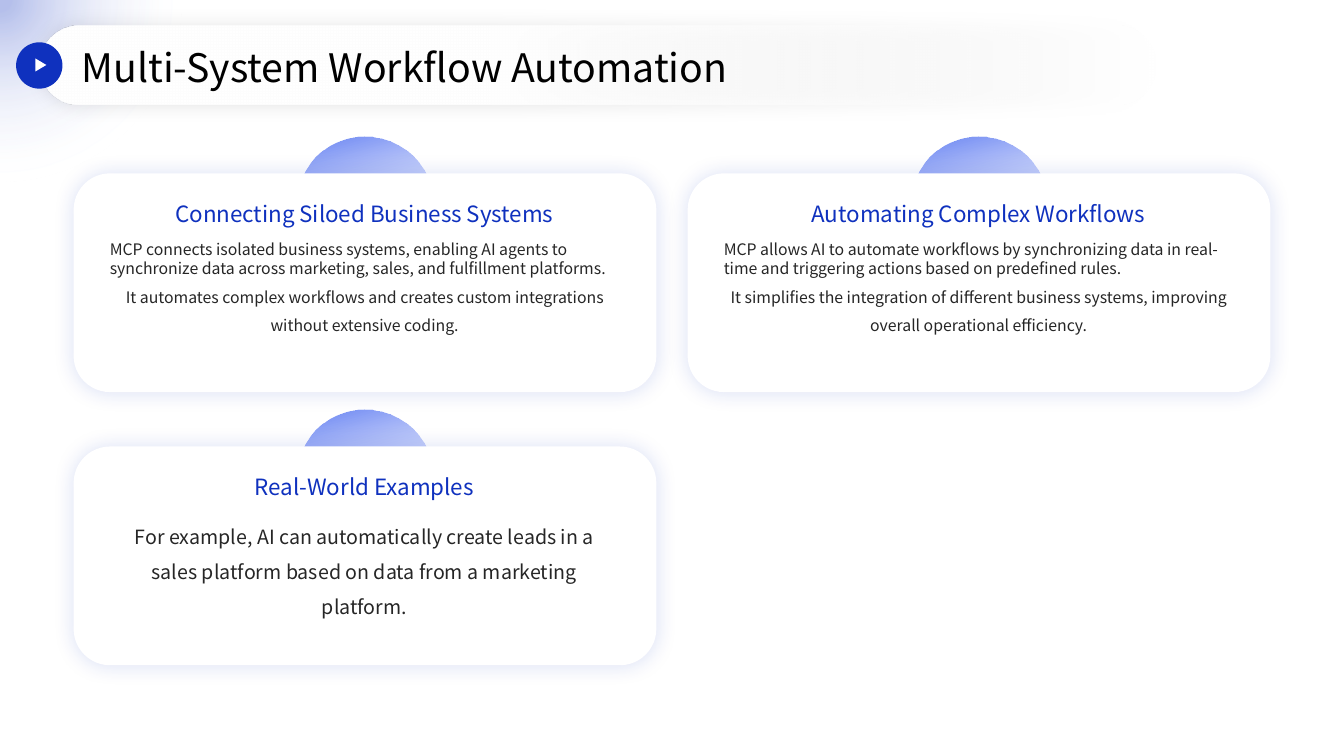
from lxml import etree
from pptx import Presentation
from pptx.dml.color import RGBColor
from pptx.enum import shapes, text
from pptx.oxml import ns
from pptx.util import Inches, Pt

BLUE = RGBColor(0x0F, 0x31, 0xBE)
LIGHT_BLUE = RGBColor(0x55, 0x74, 0xF2)
WHITE = RGBColor(0xFF, 0xFF, 0xFF)
BLACK = RGBColor(0, 0, 0)
DARK_GRAY = RGBColor(0x26, 0x26, 0x26)
FONT = "Noto Sans CJK SC"
SHAPE = shapes.MSO_SHAPE
LEFT, CENTER = text.PP_ALIGN.LEFT, text.PP_ALIGN.CENTER

CARD_LEFT, CARD_TOP = 0.73, 1.72
CARD_WIDTH, CARD_HEIGHT = 5.78, 2.17
COLUMN_STEP, ROW_STEP = 6.09, 2.71
DISC_SIZE = 1.36

# Each body paragraph: wording, size, alignment, line spacing
CARDS = [
    ("Connecting Siloed Business Systems", [
        ("MCP connects isolated business systems, enabling AI agents to "
         "synchronize data across marketing, sales, and fulfillment platforms.",
         11.3, LEFT, 1.0),
        ("It automates complex workflows and creates custom integrations "
         "without extensive coding.", 11.3, CENTER, 1.5),
    ]),
    ("Automating Complex Workflows", [
        ("MCP allows AI to automate workflows by synchronizing data in "
         "real-time and triggering actions based on predefined rules.",
         11.3, LEFT, 1.0),
        ("It simplifies the integration of different business systems, "
         "improving overall operational efficiency.", 11.3, CENTER, 1.5),
    ]),
    ("Real-World Examples", [
        ("For example, AI can automatically create leads in a sales platform "
         "based on data from a marketing platform.", 14, CENTER, 1.5),
    ]),
]


def add_color(parent, color, alpha):
    node = etree.SubElement(parent, ns.qn("a:srgbClr"), val=str(color))
    etree.SubElement(node, ns.qn("a:alpha"), val=str(alpha * 1000))


def add_shape(page, kind, left, top, width, height, color=None):
    shape = page.shapes.add_shape(
        kind, Inches(left), Inches(top), Inches(width), Inches(height))
    shape.shadow.inherit = False
    shape.line.fill.background()
    if color is None:
        shape.fill.background()
    else:
        shape.fill.solid()
        shape.fill.fore_color.rgb = color
    return shape


def set_gradient(shape, stops, angle=None):
    """Fill with (position, color, alpha) stops; radial when no angle is given."""
    gradient = etree.Element(ns.qn("a:gradFill"), rotWithShape="1")
    stop_list = etree.SubElement(gradient, ns.qn("a:gsLst"))
    for position, color, alpha in stops:
        stop = etree.SubElement(stop_list, ns.qn("a:gs"), pos=str(position * 1000))
        add_color(stop, color, alpha)
    if angle is None:
        radial = etree.SubElement(gradient, ns.qn("a:path"), path="circle")
        etree.SubElement(radial, ns.qn("a:fillToRect"),
                         l="50000", t="50000", r="50000", b="50000")
    else:
        etree.SubElement(gradient, ns.qn("a:lin"), ang=str(angle * 60000), scaled="0")
    properties = shape.element.spPr
    properties.replace(properties.find(ns.qn("a:noFill")), gradient)


def set_glow_shadow(shape, color, alpha, blur):
    effects = shape.element.spPr.find(ns.qn("a:effectLst"))
    shadow = etree.SubElement(effects, ns.qn("a:outerShdw"), blurRad=str(Pt(blur)),
                              dist="0", dir="0", algn="ctr", rotWithShape="0")
    add_color(shadow, color, alpha)


def add_text(page, left, top, width, height, paragraphs, color):
    box = page.shapes.add_textbox(
        Inches(left), Inches(top), Inches(width), Inches(height))
    frame = box.text_frame
    frame.word_wrap = True
    for index, (wording, size, alignment, spacing) in enumerate(paragraphs):
        para = frame.add_paragraph() if index else frame.paragraphs[0]
        para.text = wording
        para.alignment = alignment
        para.line_spacing = spacing
        para.font.name = FONT
        para.font.size = Pt(size)
        para.font.color.rgb = color
    return frame


def add_card(page, left, top, heading, body):
    disc = add_shape(page, SHAPE.FLOWCHART_CONNECTOR,
                     left + (CARD_WIDTH - DISC_SIZE) / 2, top - 0.37,
                     DISC_SIZE, DISC_SIZE)
    disc.rotation = 344
    set_gradient(disc, [(0, WHITE, 0), (100, LIGHT_BLUE, 100)], 270)
    panel = add_shape(page, SHAPE.ROUNDED_RECTANGLE, left, top,
                      CARD_WIDTH, CARD_HEIGHT, WHITE)
    set_glow_shadow(panel, BLUE, 15, 15)
    add_text(page, left + 0.26, top + 0.61, 5.25, 1.28, body, DARK_GRAY)
    add_text(page, left + 0.26, top + 0.19, 5.25, 0.4,
             [(heading, 16, CENTER, 1.1)], BLUE)


def add_title(page, wording):
    glow = add_shape(page, SHAPE.OVAL, -1.8, -1.8, 3.6, 3.6)
    set_gradient(glow, [(4, BLUE, 30), (72, WHITE, 0)])
    bar = add_shape(page, SHAPE.ROUNDED_RECTANGLE, 0.39, 0.25, 11.08, 0.79)
    bar.adjustments[0] = 0.5
    set_gradient(bar, [(0, WHITE, 0), (60, WHITE, 100)], 180)
    set_glow_shadow(bar, BLACK, 10, 13)
    frame = add_text(page, 0.81, 0.41, 8.17, 0.47, [(wording, 28, LEFT, 1.1)], BLACK)
    frame.vertical_anchor = text.MSO_ANCHOR.MIDDLE
    frame.margin_left = frame.margin_right = 0
    frame.margin_top = frame.margin_bottom = 0
    add_shape(page, SHAPE.OVAL, 0.16, 0.42, 0.46, 0.46, BLUE)
    arrow = add_shape(page, SHAPE.ISOSCELES_TRIANGLE, 0.34, 0.59, 0.13, 0.11, WHITE)
    arrow.rotation = 90


def main():
    deck = Presentation()
    deck.slide_width, deck.slide_height = Inches(13.33), Inches(7.5)
    page = deck.slides.add_slide(deck.slide_layouts[6])
    for index, (heading, body) in enumerate(CARDS):
        row, column = divmod(index, 2)
        add_card(page, CARD_LEFT + column * COLUMN_STEP,
                 CARD_TOP + row * ROW_STEP, heading, body)
    add_title(page, "Multi-System Workflow Automation")
    deck.save("out.pptx")


if __name__ == "__main__":
    main()
